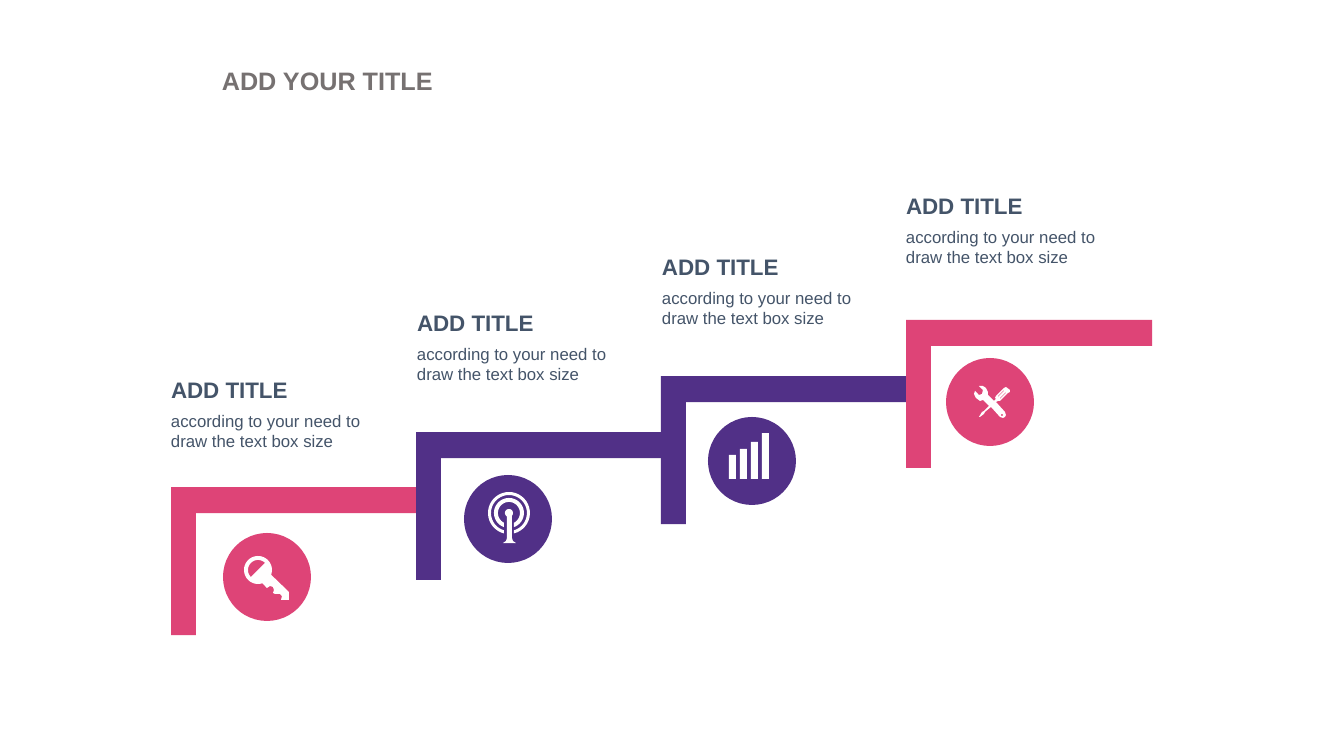
"""Build a four-step staircase slide with an icon and a caption on each step."""
import math

from pptx import Presentation
from pptx import util as u
from pptx.dml.color import RGBColor
from pptx.enum import shapes, text

PX = 914400 / 100.8
FINE = 100
COLORS = {"pink": "DE4477", "purple": "513087", "icon": "FFFEFE",
          "caption": "445469", "title": "767171"}
FONT = "Arial"
TITLE = "ADD YOUR TITLE"
HEADING = "ADD TITLE"
DETAIL = "according to your need to draw the text box size"

STEPS = [
    {"color": "pink", "corner": (171, 487), "disc": (223, 533), "caption": (171, 376)},
    {"color": "purple", "corner": (416, 432), "disc": (464, 475), "caption": (417, 309)},
    {"color": "purple", "corner": (661, 376), "disc": (708, 417), "caption": (662, 253)},
    {"color": "pink", "corner": (906, 320), "disc": (946, 358), "caption": (906, 192)},
]
STEP_WIDTH, STEP_HEIGHT, TREAD, RISER = 246, 148, 26, 25
DISC = 88
DETAIL_DROP = 35

KEY_BOW = (258, 570)
KEY_TEETH = [(267, 588), (270, 586), (273, 587), (274, 590), (273, 593), (275, 594),
             (280, 594), (282, 596), (281, 600), (289, 600), (289, 592)]
ANTENNA = (509, 513)
ANTENNA_RINGS = [(15, 11), (21, 18)]
RING_GAP = 5
MAST_FOOT = [(507, 516), (507, 538), (506, 541), (503, 543),
             (516, 543), (513, 541), (512, 538), (512, 516)]
CHART_BASE, CHART_LEFT, CHART_PITCH, CHART_BAR = 479, 729, 11, 7
CHART_HEIGHTS = [24, 30, 37, 46]
TOOLS = [(1010, 390), (1006, 387), (1004, 388), (996, 396), (995, 398), (996, 399),
         (994, 401), (988, 395), (988, 392), (986, 388), (983, 386), (979, 386),
         (983, 390), (982, 394), (979, 395), (975, 391), (974, 394), (976, 398),
         (980, 401), (983, 400), (989, 406), (984, 411), (982, 412), (979, 417),
         (980, 417), (984, 414), (985, 412), (991, 407), (1000, 417), (1003, 418),
         (1005, 417), (1006, 415), (1005, 412), (996, 402), (998, 401), (1000, 401),
         (1008, 393), (1010, 392)]
TOOL_GROOVES = [[(998, 396), (1004, 390), (1004, 391), (998, 397)],
                [(1000, 398), (1006, 392), (1006, 393), (1000, 399)]]
WRENCH_EYE = (1002, 415)


def px(value):
    return u.Emu(round(value * PX))


def rgb(name):
    return RGBColor.from_string(COLORS[name])


def arc(center, radius, start, end):
    angles = [math.radians(start + (end - start) * i / 36) for i in range(37)]
    return [(center[0] + radius * math.cos(a), center[1] + radius * math.sin(a))
            for a in angles]


def paint(shape, color):
    shape.shadow.inherit = False
    shape.fill.solid()
    shape.fill.fore_color.rgb = rgb(color)
    shape.line.fill.background()


def add_preset(slide, kind, box, color):
    paint(slide.shapes.add_shape(kind, *map(px, box)), color)


def add_outline(slide, contours, color):
    scaled = [[(x * FINE, y * FINE) for x, y in contour] for contour in contours]
    builder = slide.shapes.build_freeform(*scaled[0][0], scale=PX / FINE)
    builder.add_line_segments(scaled[0][1:], close=True)
    for contour in scaled[1:]:
        builder.move_to(*contour[0])
        builder.add_line_segments(contour[1:], close=True)
    paint(builder.convert_to_shape(), color)


def add_text(slide, box, words, size, color, bold=False, wrap=True, inset=True):
    frame = slide.shapes.add_textbox(*map(px, box)).text_frame
    frame.word_wrap = wrap
    frame.auto_size = text.MSO_AUTO_SIZE.SHAPE_TO_FIT_TEXT
    if not inset:
        frame.margin_left = frame.margin_right = 0
        frame.margin_top = frame.margin_bottom = 0
    run = frame.paragraphs[0].add_run()
    run.text = words
    run.font.name, run.font.size, run.font.bold = FONT, u.Pt(size), bold
    run.font.color.rgb = rgb(color)


def add_step(slide, left, top, color):
    right, bottom = left + STEP_WIDTH, top + STEP_HEIGHT
    add_outline(slide, [[(left, top), (right, top), (right, top + TREAD),
                         (left + RISER, top + TREAD), (left + RISER, bottom),
                         (left, bottom)]], color)


def add_icons(slide):
    add_outline(slide, [arc(KEY_BOW, 14, 380, 72) + KEY_TEETH,
                        arc(KEY_BOW, 10, 135, 315)], "icon")
    for outer, inner in ANTENNA_RINGS:
        edges = []
        for radius in (outer, inner):
            gap = math.degrees(math.asin(RING_GAP / radius))
            edges.append(arc(ANTENNA, radius, 90 + gap, 450 - gap))
        add_outline(slide, [edges[0] + edges[1][::-1]], "icon")
    add_outline(slide, [arc(ANTENNA, 4, 60, -240) + MAST_FOOT], "icon")
    for i, height in enumerate(CHART_HEIGHTS):
        add_preset(slide, shapes.MSO_SHAPE.RECTANGLE,
                   (CHART_LEFT + i * CHART_PITCH, CHART_BASE - height, CHART_BAR, height),
                   "icon")
    add_outline(slide, [TOOLS, *TOOL_GROOVES, arc(WRENCH_EYE, 1, 0, 360)], "icon")


def main():
    presentation = Presentation()
    presentation.slide_width, presentation.slide_height = px(1344), px(756)
    slide = presentation.slides.add_slide(presentation.slide_layouts[6])
    for step in STEPS:
        add_preset(slide, shapes.MSO_SHAPE.OVAL, (*step["disc"], DISC, DISC), step["color"])
    for step in STEPS:
        add_step(slide, *step["corner"], step["color"])
    add_icons(slide)
    for step in STEPS:
        left, top = step["caption"]
        add_text(slide, (left, top, 143, 27), HEADING, 16, "caption", bold=True, inset=False)
        add_text(slide, (left, top + DETAIL_DROP, 224, 40), DETAIL, 12, "caption",
                 inset=False)
    add_text(slide, (212, 60, 234, 40), TITLE, 18, "title", bold=True, wrap=False)
    presentation.save("out.pptx")


if __name__ == "__main__":
    main()
